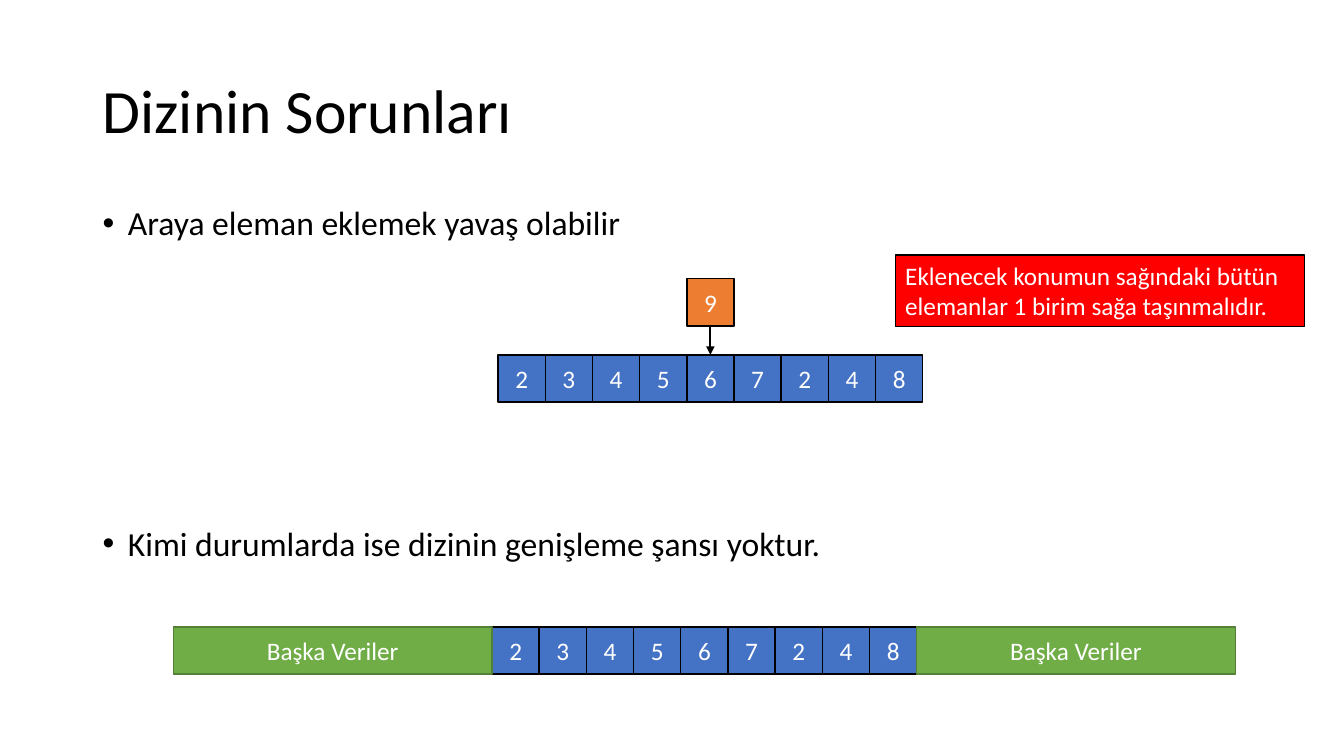
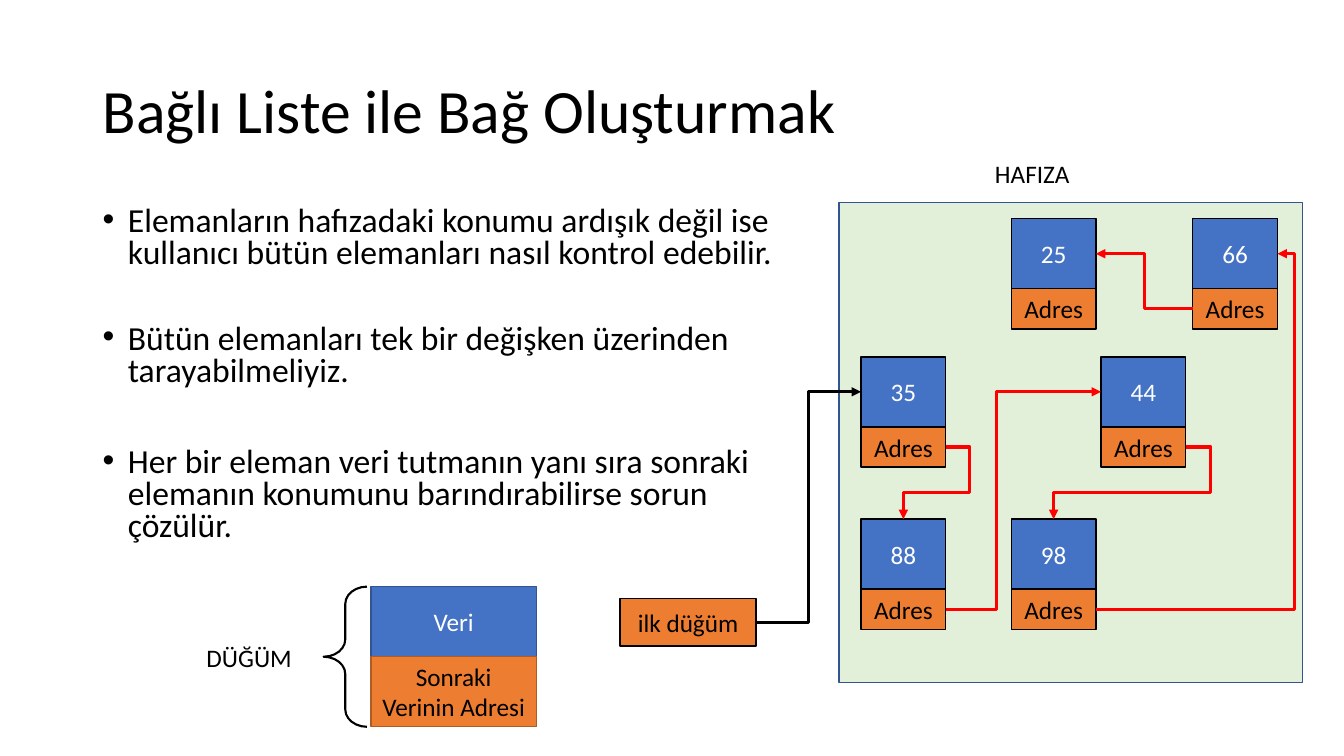
from lxml.etree import SubElement
from pptx import Presentation
from pptx.dml.color import RGBColor
from pptx.enum.shapes import MSO_CONNECTOR as Connector, MSO_SHAPE as Preset
from pptx.enum.text import MSO_ANCHOR as Anchor, PP_ALIGN as Align
from pptx.oxml.ns import qn
from pptx.util import Inches, Pt

BLACK = RGBColor(0x00, 0x00, 0x00)
WHITE = RGBColor(0xFF, 0xFF, 0xFF)
RED = RGBColor(0xFF, 0x00, 0x00)
BLUE = RGBColor(0x44, 0x72, 0xC4)
DARK_BLUE = RGBColor(0x32, 0x54, 0x91)
ORANGE = RGBColor(0xED, 0x7D, 0x31)
DARK_ORANGE = RGBColor(0xAF, 0x5C, 0x24)
GREEN = RGBColor(0x70, 0xAD, 0x47)
DARK_GREEN = RGBColor(0x53, 0x80, 0x35)
PALE_GREEN = RGBColor(0xE2, 0xF0, 0xD9)

FONT = "Calibri"
STEP = Inches(0.1)  # one column or row of the grid
TOP, LEFT, BOTTOM, RIGHT = range(4)  # connection sites of a rectangle

CELL = 4.68
VALUES = (2, 3, 4, 5, 6, 7, 2, 4, 8)
NODE_WIDTH, DATA_HEIGHT, ADDRESS_HEIGHT = 8.4, 6.95, 4


def grid(*lengths):
    return [round(length * STEP) for length in lengths]


class Deck:
    """Holds the style and the slide being drawn."""

    def __init__(self):
        self.presentation = Presentation()
        self.presentation.slide_width = Inches(13.33)
        self.presentation.slide_height = Inches(7.5)
        self.slide = None

    def new_slide(self, title):
        blank = self.presentation.slide_layouts[6]
        self.slide = self.presentation.slides.add_slide(blank)
        self.label(title, 9.2, 4, 115, 14.5, size=44, spacing=0.9,
                   anchor=Anchor.MIDDLE)

    # Text
    def add_text_run(self, paragraph, text, size, color):
        run = paragraph.add_run()
        run.text = text
        run.font.name = FONT
        run.font.size = Pt(size)
        run.font.color.rgb = color

    def add_frame(self, left, top, width, height, anchor=Anchor.TOP, wrap=True):
        box = self.slide.shapes.add_textbox(*grid(left, top, width, height))
        frame = box.text_frame
        frame.word_wrap = wrap
        frame.vertical_anchor = anchor
        return frame

    def label(self, text, left, top, width, height, size=18, spacing=1.0,
              anchor=Anchor.TOP, wrap=True):
        frame = self.add_frame(left, top, width, height, anchor, wrap)
        paragraph = frame.paragraphs[0]
        paragraph.line_spacing = spacing
        self.add_text_run(paragraph, text, size, BLACK)

    def bullets(self, items, left, top, width, height, spacing=0.9):
        """Each item is a text and the space before it in points."""
        frame = self.add_frame(left, top, width, height)
        for number, (text, gap) in enumerate(items):
            paragraph = frame.add_paragraph() if number else frame.paragraphs[0]
            properties = paragraph._p.get_or_add_pPr()
            properties.set("marL", str(Inches(0.25)))
            properties.set("indent", str(-Inches(0.25)))
            SubElement(properties, qn("a:buFont"), typeface="Arial")
            SubElement(properties, qn("a:buChar"), char="•")
            paragraph.line_spacing = spacing
            paragraph.space_before = Pt(gap)
            self.add_text_run(paragraph, text, 24, BLACK)

    # Shapes
    def shape(self, preset, left, top, width, height, fill, line, weight):
        shape = self.slide.shapes.add_shape(preset, *grid(left, top, width, height))
        shape.shadow.inherit = False
        if fill is None:
            shape.fill.background()
        else:
            shape.fill.solid()
            shape.fill.fore_color.rgb = fill
        shape.line.color.rgb = line
        shape.line.width = Pt(weight)
        return shape

    def box(self, text, left, top, width, height, fill, color=WHITE, line=BLACK,
            weight=1, align=Align.CENTER, anchor=Anchor.MIDDLE):
        shape = self.shape(Preset.RECTANGLE, left, top, width, height,
                           fill, line, weight)
        frame = shape.text_frame
        frame.word_wrap = True
        frame.vertical_anchor = anchor
        paragraph = frame.paragraphs[0]
        paragraph.alignment = align
        if text:
            self.add_text_run(paragraph, text, 18, color)
        return shape

    def array(self, left, top):
        return [self.box(str(value), left + index * CELL, top, CELL, CELL, BLUE)
                for index, value in enumerate(VALUES)]

    def node(self, value, left, top):
        data = self.box(value, left, top, NODE_WIDTH, DATA_HEIGHT, BLUE)
        address = self.box("Adres", left, top + DATA_HEIGHT, NODE_WIDTH,
                           ADDRESS_HEIGHT, ORANGE, BLACK)
        return data, address

    # Arrows
    def arrow(self, start, start_site, end, end_site, color=RED, weight=2.25,
              bend_column=None, bend_row=None):
        """Joins two shapes; the bends say where an elbow turns."""
        kind = Connector.STRAIGHT if bend_column is None else Connector.ELBOW
        connector = self.slide.shapes.add_connector(kind, 0, 0, 0, 0)
        connector.begin_connect(start, start_site)
        connector.end_connect(end, end_site)
        connector.line.color.rgb = color
        connector.line.width = Pt(weight)
        properties = connector.element.spPr
        SubElement(properties.find(qn("a:ln")), qn("a:tailEnd"), type="triangle")
        SubElement(properties, qn("a:effectLst"))
        if bend_column is None:
            return
        geometry = properties.find(qn("a:prstGeom"))
        bends = [(bend_column, connector.begin_x, connector.end_x)]
        if bend_row is not None:
            geometry.set("prst", "bentConnector4")
            bends.append((bend_row, connector.begin_y, connector.end_y))
        guides = geometry.find(qn("a:avLst"))
        for number, (bend, first, last) in enumerate(bends, 1):
            share = round((bend * STEP - first) / (last - first) * 100000)
            SubElement(guides, qn("a:gd"), name=f"adj{number}", fmla=f"val {share}")


def array_slide(deck):
    deck.new_slide("Dizinin Sorunları")

    # Inserting into the middle
    deck.bullets([("Araya eleman eklemek yavaş olabilir", 0)], 9.2, 20, 112.4, 4.9)
    left = 49.4
    cells = deck.array(left, 35.2)
    inserted = deck.box("9", left + 4 * CELL, 27.65, CELL, CELL, ORANGE)
    deck.arrow(inserted, BOTTOM, cells[4], TOP, BLACK, 1.5)
    deck.box("Eklenecek konumun sağındaki bütün elemanlar 1 birim sağa taşınmalıdır.",
             88.8, 25.3, 40.6, 7.1, RED, weight=0.75,
             align=Align.LEFT, anchor=Anchor.TOP)

    # No room to grow
    deck.bullets([("Kimi durumlarda ise dizinin genişleme şansı yoktur.", 0)],
                 9.2, 51.8, 112.4, 4.9)
    left, top, other_width = 48.8, 62.2, 31.6
    deck.array(left, top)
    for other_left in (left - other_width, left + len(VALUES) * CELL):
        deck.box("Başka Veriler", other_left, top, other_width, CELL,
                 GREEN, line=DARK_GREEN)


def linked_list_slide(deck):
    deck.new_slide("Bağlı Liste ile Bağ Oluşturmak")
    deck.bullets([
        ("Elemanların hafızadaki konumu ardışık değil ise kullanıcı bütün "
         "elemanları nasıl kontrol edebilir.", 0),
        ("Bütün elemanları tek bir değişken üzerinden tarayabilmeliyiz.", 38),
        ("Her bir eleman veri tutmanın yanı sıra sonraki elemanın konumunu "
         "barındırabilirse sorun çözülür.", 42),
    ], 9.2, 20, 69.2, 35.2, spacing=0.8)

    # Parts of a node
    left, top, width = 36.8, 58.2, 16.4
    deck.box("Veri", left, top, width, DATA_HEIGHT, BLUE, line=DARK_BLUE)
    deck.box("Sonraki Verinin Adresi", left, top + DATA_HEIGHT, width, DATA_HEIGHT,
             ORANGE, BLACK, DARK_ORANGE)
    deck.label("DÜĞÜM", 19.5, 63.2, 11, 4)
    brace = deck.shape(Preset.LEFT_BRACE, 32.1, top, 4.3, 2 * DATA_HEIGHT,
                       None, BLACK, 1.5)
    brace.adjustments[0] = 0.4

    # Memory and its nodes
    deck.label("HAFIZA", 97.7, 15.2, 9.5, 4, wrap=False)
    deck.box("", 83.2, 20.1, 46, 47.6, PALE_GREEN, line=DARK_BLUE)
    places = {"35": (85.4, 35.4), "25": (100.3, 21.7), "44": (109.2, 35.4),
              "88": (85.4, 51.5), "66": (118.3, 21.7), "98": (100.3, 51.5)}
    nodes = {value: deck.node(value, *place) for value, place in places.items()}

    # Links from the first node onwards
    first = deck.box("ilk düğüm", 61.5, 59.4, 13.5, 4.7, ORANGE, BLACK)
    deck.arrow(first, RIGHT, nodes["35"][0], LEFT, BLACK, bend_column=80.2)
    links = [
        ("35", RIGHT, "88", TOP, 96.2, 48.9),
        ("88", RIGHT, "44", LEFT, 98.8, None),
        ("44", RIGHT, "98", TOP, 120.1, 48.9),
        ("98", RIGHT, "66", RIGHT, 128.4, None),
        ("66", LEFT, "25", RIGHT, 113.5, None),
    ]
    for source, source_site, target, target_site, column, row in links:
        deck.arrow(nodes[source][1], source_site, nodes[target][0], target_site,
                   bend_column=column, bend_row=row)


def main():
    deck = Deck()
    array_slide(deck)
    linked_list_slide(deck)
    deck.presentation.save("out.pptx")


if __name__ == "__main__":
    main()
